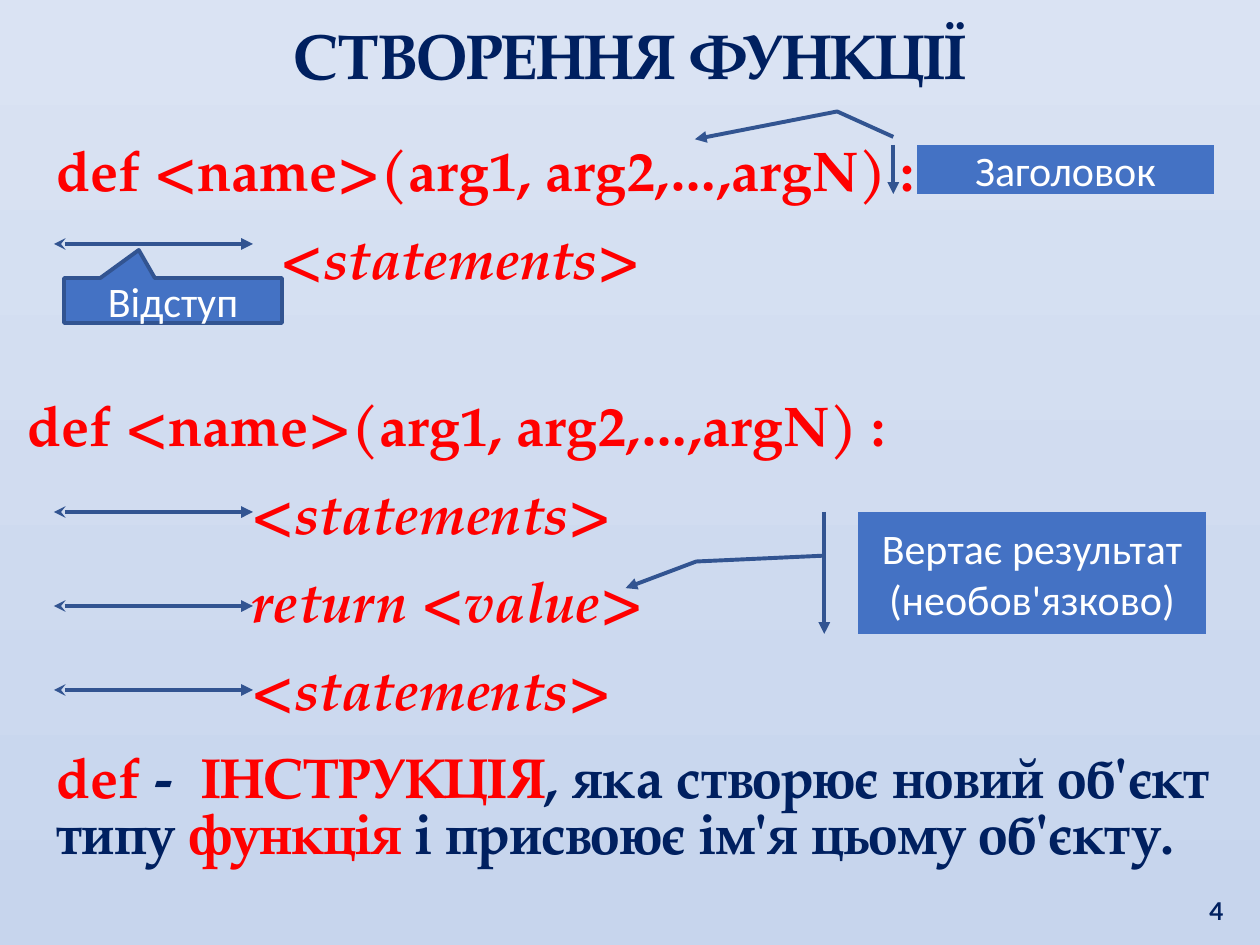
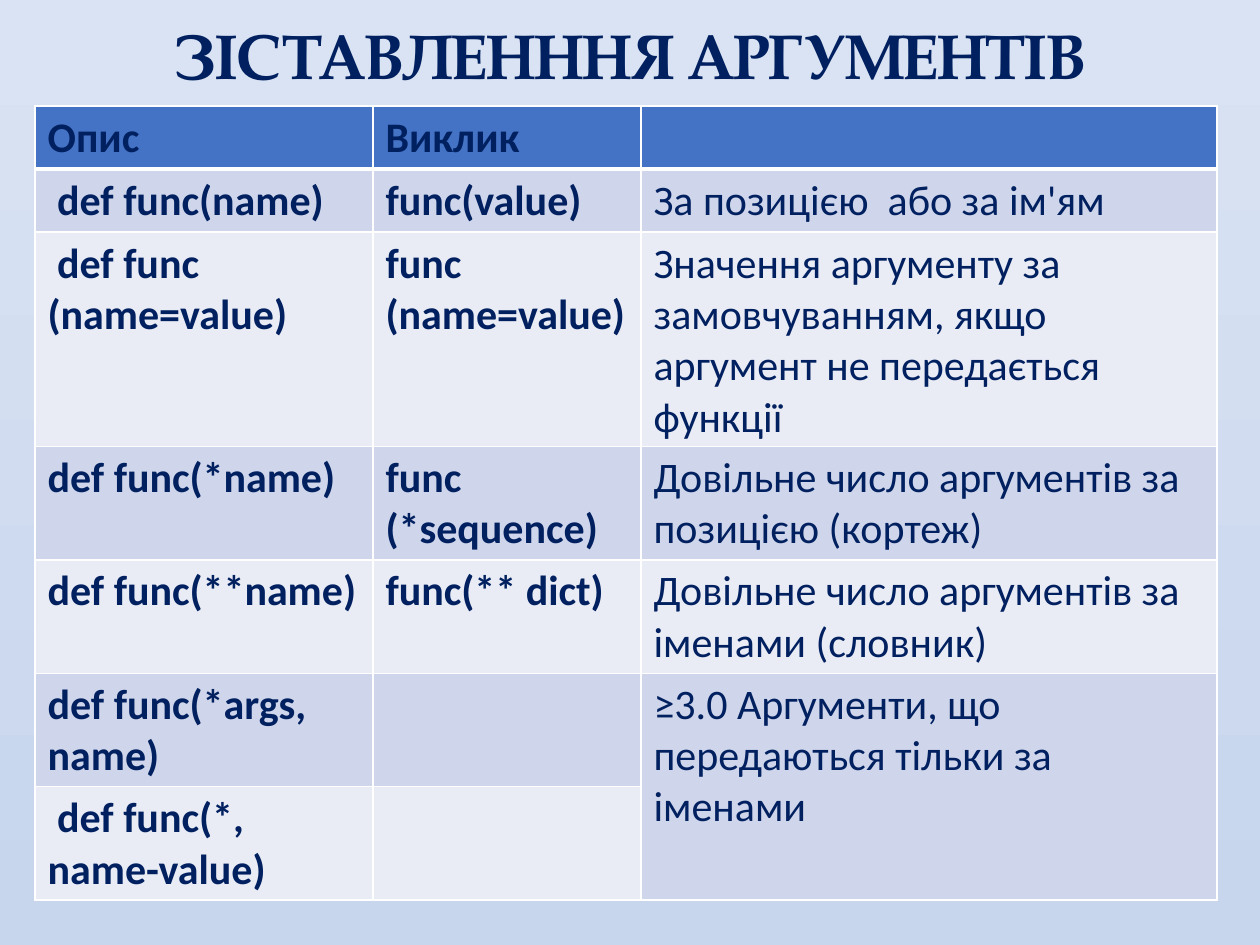
from collections import namedtuple

from lxml.etree import SubElement
from pptx import Presentation
from pptx.dml.color import RGBColor
from pptx.enum.dml import MSO_FILL
from pptx.enum.shapes import MSO_CONNECTOR, MSO_SHAPE
from pptx.enum.text import MSO_ANCHOR, MSO_AUTO_SIZE, PP_ALIGN
from pptx.oxml.ns import qn
from pptx.util import Pt

Box = namedtuple("Box", "left top width height")

PIXELS_PER_INCH = 126
TITLE_ONLY_LAYOUT = 5
TITLE_BOX = Box(15, 10, 1230, 89)
INDENT = 224

NAVY, RED, WHITE = "002060", "FF0000", "FFFFFF"
BLUE, DARK_BLUE = "4472C4", "325491"
BAND_DARK, BAND_LIGHT = "CFD5EA", "E9EBF5"
BACKGROUND_STOPS = ("DAE3F3", "C7D5ED")

SERIF, SANS = "TeX Gyre Pagella", "Calibri"
TITLE_FONT = {"name": SERIF, "size": Pt(36), "bold": True}
CODE_FONT = {"name": SERIF, "size": Pt(32), "bold": True}
STATEMENT_FONT = {**CODE_FONT, "italic": True}
LABEL_FONT = {"name": SANS, "size": Pt(24), "bold": False}
CELL_FONT = {**LABEL_FONT, "bold": True}
NUMBER_FONT = {"name": "Lato", "size": Pt(14), "bold": True}

SIGNATURE = "def <name>(arg1, arg2,…,argN) :"
COLUMN_WIDTHS = (338, 268, 576)
ROW_HEIGHTS = (63, 63, 213, 113, 113, 113, 113)
MATCHING_ROWS = (
    ("Опис", "Виклик", ""),
    (" def func(name)", "func(value)", "За позицією  або за ім'ям"),
    (" def func (name=value)", "func\n(name=value)",
     "Значення аргументу за замовчуванням, якщо аргумент не передається функції"),
    ("def func(*name)", "func\n(*sequence)", "Довільне число аргументів за позицією (кортеж)"),
    ("def func(**name)", "func(** dict)", "Довільне число аргументів за іменами (словник)"),
    ("def func(*args, name)", "", "≥3.0 Аргументи, що передаються тільки за іменами"),
    (" def func(*, name-value)", "", ""),
)


def px(length):
    """Turn a length in px into EMU."""
    return round(length * 914400 / PIXELS_PER_INCH)


def color(hex_string):
    """Return the colour named by a hex string."""
    return RGBColor.from_string(hex_string)


def inside(box, left, top, width, height):
    """Return a box measured from the corner of another box."""
    return Box(box.left + left, box.top + top, width, height)


def set_attributes(target, values):
    """Set every attribute in a dict of format values."""
    for name, value in values.items():
        setattr(target, name, value)


def add_run(paragraph, text, font, hex_color):
    """Append formatted text to a paragraph."""
    run = paragraph.add_run()
    run.text = text
    set_attributes(run.font, font)
    run.font.color.rgb = color(hex_color)


def write_lines(text_frame, lines, font, hex_color, **paragraph_format):
    """Write one paragraph for each line and return the paragraphs."""
    for number, line in enumerate(lines):
        paragraph = text_frame.add_paragraph() if number else text_frame.paragraphs[0]
        set_attributes(paragraph, paragraph_format)
        add_run(paragraph, line, font, hex_color)
    return text_frame.paragraphs


def add_text_box(slide, box, anchor=MSO_ANCHOR.TOP):
    """Add a wrapping text box and return its text frame."""
    text_frame = slide.shapes.add_textbox(*map(px, box)).text_frame
    set_attributes(text_frame, {"word_wrap": True, "vertical_anchor": anchor})
    return text_frame


def style_line(shape, **ends):
    """Give a shape the diagram line and its arrowheads."""
    shape.line.color.rgb = color(DARK_BLUE)
    shape.line.width = Pt(2.25)
    line = shape.element.spPr.find(qn("a:ln"))
    for end, kind in ends.items():
        SubElement(line, qn(f"a:{end}"), type=kind)


def add_callout(slide, box, preset, adjustments, lines):
    """Add a labelled callout whose pointer follows the adjustments."""
    shape = slide.shapes.add_shape(preset, *map(px, box))
    shape.shadow.inherit = False
    for index, value in enumerate(adjustments):
        shape.adjustments[index] = value
    shape.fill.solid()
    shape.fill.fore_color.rgb = color(BLUE)
    style_line(shape, tailEnd="triangle")
    set_attributes(shape.text_frame, {"word_wrap": True, "vertical_anchor": MSO_ANCHOR.MIDDLE})
    write_lines(shape.text_frame, lines, LABEL_FONT, WHITE, alignment=PP_ALIGN.CENTER)


def add_indent_arrow(slide, left, top):
    """Add the double arrow that marks an indent."""
    connector = slide.shapes.add_connector(
        MSO_CONNECTOR.STRAIGHT, px(left), px(top), px(left + 199), px(top))
    style_line(connector, headEnd="stealth", tailEnd="triangle")
    SubElement(connector.element.spPr, qn("a:effectLst"))


def add_code(slide, box, statements):
    """Add a function signature with indented statements."""
    text_frame = add_text_box(slide, box)
    write_lines(text_frame, [SIGNATURE, *statements], CODE_FONT, RED, space_before=Pt(12))
    for paragraph in text_frame.paragraphs[1:]:
        set_attributes(paragraph.runs[0].font, STATEMENT_FONT)
        paragraph._p.get_or_add_pPr().set("marL", str(px(INDENT)))


def add_header_region(slide, box):
    """Show the short form with its header and indent labels."""
    add_code(slide, box, ["<statements>"])
    add_callout(slide, inside(box, 873, 16, 297, 49), MSO_SHAPE.LINE_CALLOUT_2_ACCENT_BAR,
                (-0.165, -0.08, -0.684, -0.269, -0.117, -0.748), ["Заголовок"])
    add_indent_arrow(slide, box.left + 10, box.top + 115)
    add_callout(slide, inside(box, 20, 149, 218, 45), MSO_SHAPE.RECTANGULAR_CALLOUT,
                (-0.157, -1.122), ["Відступ"])


def add_return_region(slide, box):
    """Show the form that returns a value."""
    add_callout(slide, inside(box, 843, 128, 348, 122), MSO_SHAPE.LINE_CALLOUT_2_ACCENT_BAR,
                (0.358, -0.097, 0.406, -0.465, 0.624, -0.668),
                ["Вертає результат", "(необов'язково)"])
    add_code(slide, box, ["<statements>", "return <value>", "<statements>"])
    for top in (128, 222, 306):
        add_indent_arrow(slide, box.left + 39, box.top + top)


def add_definition(slide, box):
    """Explain the def instruction with key words in red."""
    paragraph = add_text_box(slide, box).paragraphs[0]
    paragraph.line_spacing = Pt(32)
    for text, hex_color in (
        ("def ", RED), ("-  ", NAVY), ("ІНСТРУКЦІЯ", RED),
        (", яка створює новий об'єкт типу ", NAVY), ("функція", RED),
        (" і присвоює ім'я цьому об'єкту.", NAVY),
    ):
        add_run(paragraph, text, CODE_FONT, hex_color)


def add_slide_number(slide, box, number):
    """Add the slide number at the lower right."""
    text_frame = add_text_box(slide, box, MSO_ANCHOR.BOTTOM)
    write_lines(text_frame, [number], NUMBER_FONT, NAVY, alignment=PP_ALIGN.RIGHT)


def style_cell(cell, fill, bottom_width):
    """Give a cell its fill and white borders."""
    cell.fill.solid()
    cell.fill.fore_color.rgb = color(fill)
    properties = cell._tc.get_or_add_tcPr()
    widths = {"lnL": 1, "lnR": 1, "lnT": 1, "lnB": bottom_width}
    for index, (side, width) in enumerate(widths.items()):
        border = SubElement(properties, qn(f"a:{side}"), w=str(Pt(width)))
        solid_fill = SubElement(border, qn("a:solidFill"))
        SubElement(solid_fill, qn("a:srgbClr"), val=WHITE)
        properties.insert(index, border)


def add_matching_table(slide, left, top):
    """Add the table of argument matching forms."""
    box = Box(left, top, sum(COLUMN_WIDTHS), sum(ROW_HEIGHTS))
    table = slide.shapes.add_table(
        len(ROW_HEIGHTS), len(COLUMN_WIDTHS), *map(px, box)).table
    table.horz_banding = False
    for column, width in zip(table.columns, COLUMN_WIDTHS):
        column.width = px(width)
    for row_number, (row, height) in enumerate(zip(table.rows, ROW_HEIGHTS)):
        row.height = px(height)
        header = row_number == 0
        fill = BLUE if header else (BAND_LIGHT, BAND_DARK)[row_number % 2]
        for column_number, cell in enumerate(row.cells):
            style_cell(cell, fill, 3 if header else 1)
            text = MATCHING_ROWS[row_number][column_number]
            font = LABEL_FONT if column_number == 2 else CELL_FONT
            if text:
                write_lines(cell.text_frame, text.split("\n"), font, NAVY)
    table.cell(5, 2).merge(table.cell(6, 2))


def set_background(master):
    """Give all slides a vertical gradient."""
    fill = master.background.fill
    if fill.type != MSO_FILL.GRADIENT:
        fill.gradient()
    fill.gradient_angle = 270
    for position, (stop, hex_color) in enumerate(zip(fill.gradient_stops, BACKGROUND_STOPS)):
        stop.position = position
        stop.color.rgb = color(hex_color)


def add_titled_slide(presentation, title_text):
    """Add a slide with the shared title style."""
    slide = presentation.slides.add_slide(presentation.slide_layouts[TITLE_ONLY_LAYOUT])
    title = slide.shapes.title
    set_attributes(title, {name: px(value) for name, value in TITLE_BOX._asdict().items()})
    set_attributes(title.text_frame, {
        "word_wrap": True, "vertical_anchor": MSO_ANCHOR.TOP,
        "auto_size": MSO_AUTO_SIZE.SHAPE_TO_FIT_TEXT})
    write_lines(title.text_frame, [title_text], TITLE_FONT, NAVY, alignment=PP_ALIGN.CENTER)
    return slide


def build_creation_slide(presentation):
    """Build the slide on creating a function."""
    slide = add_titled_slide(presentation, "СТВОРЕННЯ ФУНКЦІЇ")
    add_header_region(slide, Box(44, 129, 1201, 170))
    add_return_region(slide, Box(15, 384, 1201, 437))
    add_definition(slide, Box(44, 747, 1201, 184))
    add_slide_number(slide, Box(1176, 869, 60, 63), "4")


def build_matching_slide(presentation):
    """Build the slide on matching arguments."""
    slide = add_titled_slide(presentation, "ЗІСТАВЛЕНННЯ АРГУМЕНТІВ")
    add_matching_table(slide, 35, 106)


def main():
    """Build and save the presentation."""
    presentation = Presentation()
    presentation.slide_width = px(1260)
    presentation.slide_height = px(945)
    set_background(presentation.slide_master)
    build_creation_slide(presentation)
    build_matching_slide(presentation)
    presentation.save("out.pptx")


if __name__ == "__main__":
    main()
